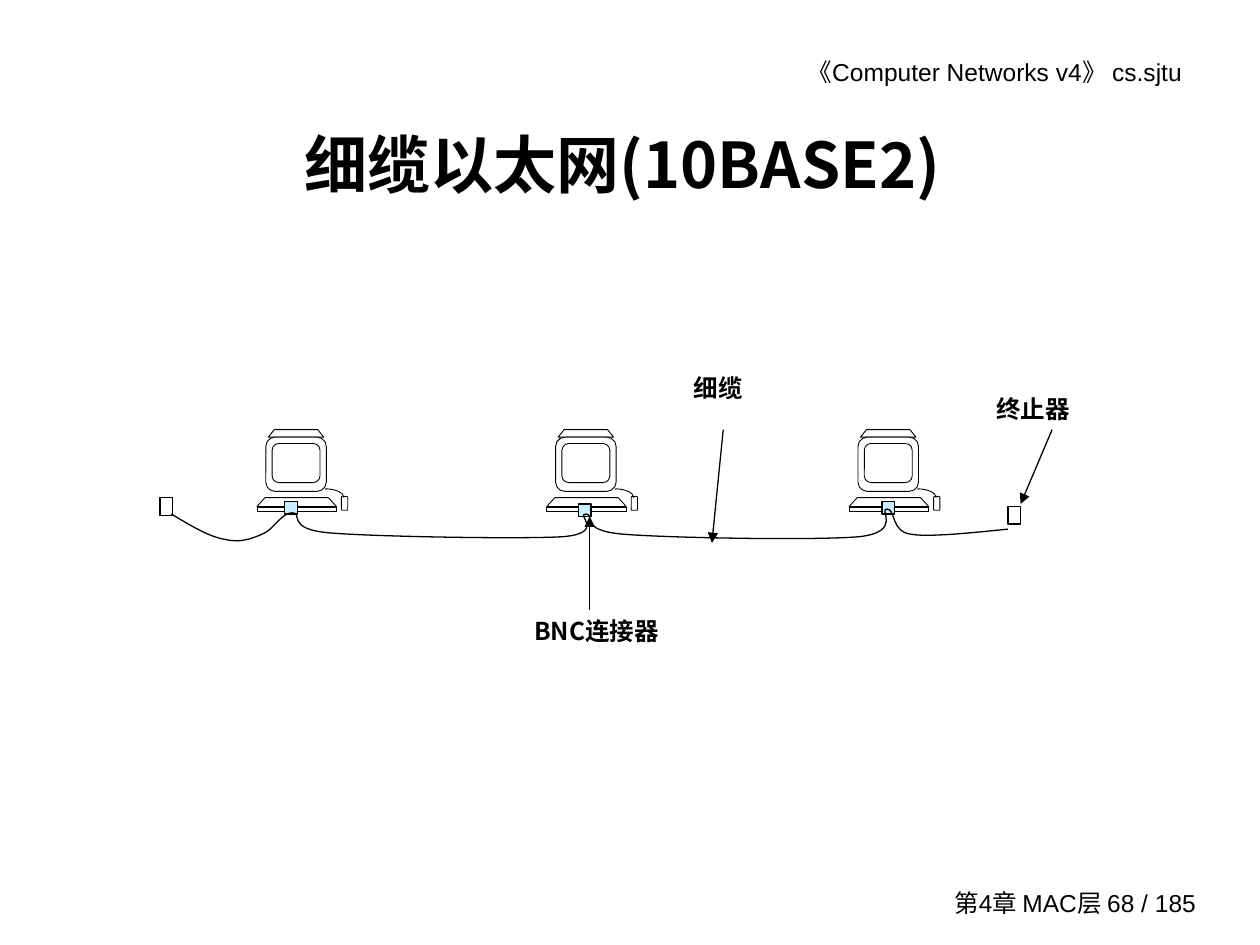
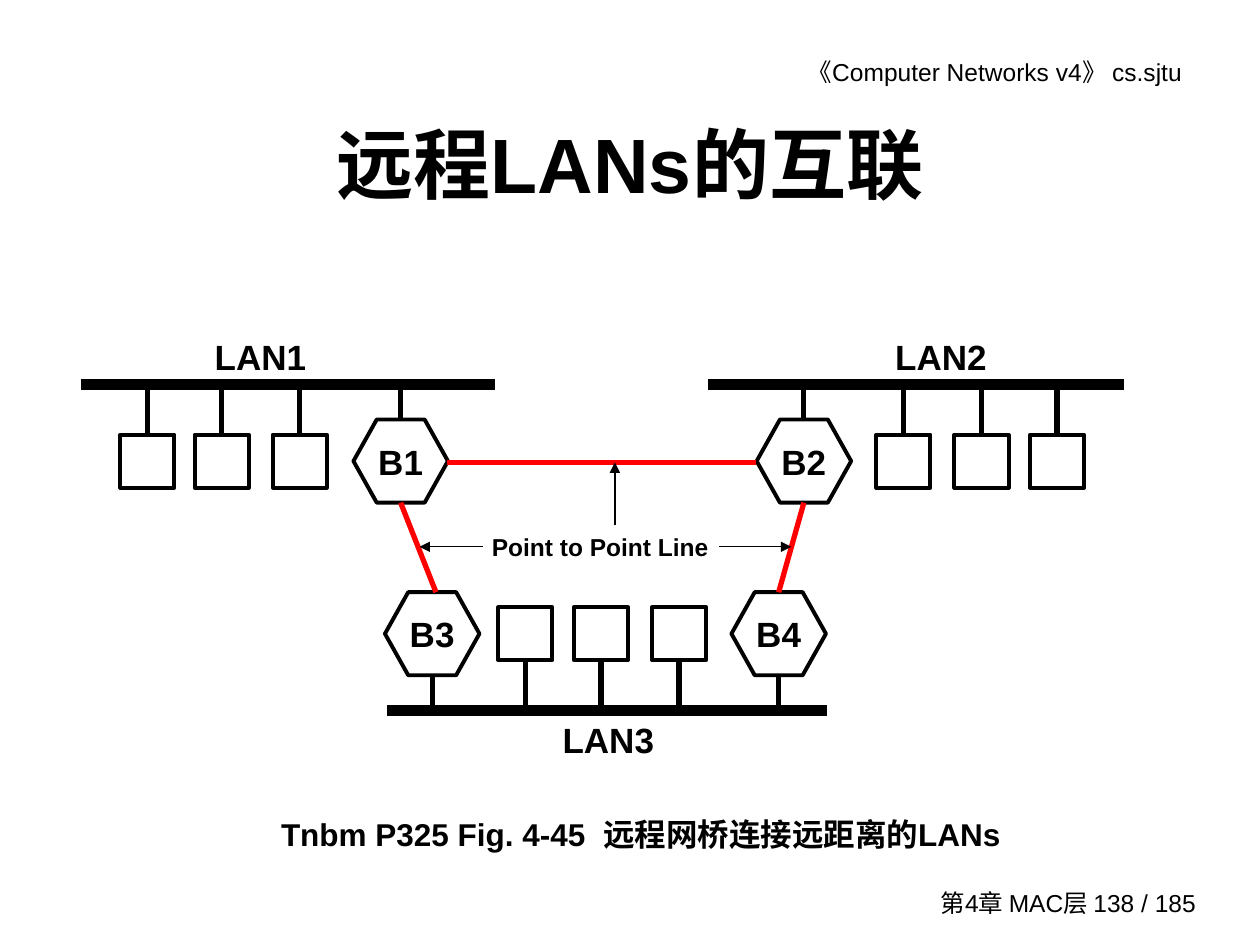
"""Build two lecture slides: thin-cable Ethernet and the bridging of remote LANs."""
from lxml.etree import SubElement
from pptx import Presentation
from pptx.dml.color import RGBColor
from pptx.enum.shapes import MSO_CONNECTOR, MSO_SHAPE
from pptx.enum.text import MSO_ANCHOR, MSO_AUTO_SIZE, PP_ALIGN
from pptx.oxml.ns import qn
from pptx.util import Inches, Pt

BLACK, WHITE, RED, PALE_BLUE = "000000", "FFFFFF", "FF0000", "CCECFF"
CJK_FONT = "Noto Sans CJK SC"
colour = RGBColor.from_string


def write(shape, text, size, align=PP_ALIGN.LEFT, bold=True, name="Arial",
          anchor=MSO_ANCHOR.TOP, wrap=True):
    frame = shape.text_frame
    frame.auto_size = MSO_AUTO_SIZE.NONE
    frame.word_wrap = wrap
    frame.vertical_anchor = anchor
    paragraph = frame.paragraphs[0]
    paragraph.text = text
    paragraph.alignment = align
    font = paragraph.font
    font.size, font.bold, font.name = Pt(size), bold, name
    font.color.rgb = colour(BLACK)
    SubElement(font._element, qn("a:ea"), typeface=CJK_FONT)
    return frame


def outline(shape, width, line=BLACK, fill=None, arrow=False):
    if fill:
        shape.fill.solid()
        shape.fill.fore_color.rgb = colour(fill)
    elif hasattr(shape, "fill"):
        shape.fill.background()
    shape.line.width = Pt(width)
    shape.line.color.rgb = colour(line)
    if arrow:
        SubElement(shape.line._get_or_add_ln(), qn("a:tailEnd"), type="triangle")
    SubElement(shape._element.spPr, qn("a:effectLst"))


presentation = Presentation()
presentation.slide_width, presentation.slide_height = Inches(10), Inches(7.5)

slides = []
for title_text, title_size, title_font, title_right, page in [
    ("细缆以太网(10BASE2)", 36, CJK_FONT, 0.14, 68),
    ("远程LANs的互联", 44, "Arial", 0.02, 138),
]:
    slide = presentation.slides.add_slide(presentation.slide_layouts[5])
    slides.append(slide)
    header = slide.shapes.add_textbox(Inches(5.36), Inches(0.4), Inches(4.23), Inches(0.34))
    frame = write(header, "《Computer Networks v4》 cs.sjtu", 14, PP_ALIGN.RIGHT, bold=False)
    frame.margin_right = Inches(0.21)
    footer = slide.shapes.add_textbox(Inches(7.3), Inches(7), Inches(2.29), Inches(0.33))
    write(footer, f"第4章 MAC层 {page} / 185", 14, PP_ALIGN.RIGHT, bold=False,
          anchor=MSO_ANCHOR.MIDDLE)
    title = slide.shapes.title
    title.left, title.top = Inches(0.75), Inches(0.67)
    title.width, title.height = Inches(8.5), Inches(1.25)
    frame = write(title, title_text, title_size, PP_ALIGN.CENTER, name=title_font,
                  anchor=MSO_ANCHOR.MIDDLE)
    frame.margin_left, frame.margin_right = Inches(0.02), Inches(title_right)
    frame.margin_top = frame.margin_bottom = Inches(0.01)

ethernet, bridging = slides

computer_parts = [
    (MSO_SHAPE.ROUNDED_RECTANGLE, 0.67, 3.94, 0.05, 0.11, 0.17),
    (MSO_SHAPE.TRAPEZOID, 0, 3.95, 0.63, 0.07, 0.9),
    (MSO_SHAPE.RECTANGLE, 0, 4.03, 0.63, 0.03, None),
    (MSO_SHAPE.TRAPEZOID, 0.09, 3.41, 0.44, 0.06, 0.8),
    (MSO_SHAPE.ROUNDED_RECTANGLE, 0.07, 3.47, 0.48, 0.43, 0.17),
    (MSO_SHAPE.ROUNDED_RECTANGLE, 0.12, 3.52, 0.38, 0.31, 0.17),
]
curves = []
for computer_left in (2.04, 4.34, 6.74):
    computer = ethernet.shapes.add_group_shape()
    for kind, left, top, width, height, adjustment in computer_parts:
        part = computer.shapes.add_shape(kind, Inches(computer_left + left), Inches(top),
                                         Inches(width), Inches(height))
        if adjustment:
            part.adjustments[0] = adjustment
        outline(part, 0.5, fill=WHITE)
    mouse_cord = [(computer_left + x, y)
                  for x, y in [(0.54, 3.88), (0.62, 3.88), (0.69, 3.91), (0.69, 3.95)]]
    curves.append((computer.shapes, mouse_cord, 0.5))

for left, top, height, fill in [
    (2.26, 3.98, 0.1, PALE_BLUE), (7, 3.98, 0.1, PALE_BLUE), (4.59, 4, 0.1, PALE_BLUE),
    (1.27, 3.95, 0.14, None), (8, 4.02, 0.14, None),
]:
    plug = ethernet.shapes.add_shape(MSO_SHAPE.RECTANGLE, Inches(left), Inches(top),
                                     Inches(0.1), Inches(height))
    outline(plug, 0.75, fill=fill)

thin_cable = [
    (1.36, 4.08),
    (1.51, 4.17), (1.66, 4.26), (1.78, 4.28),
    (1.9, 4.31), (1.99, 4.28), (2.08, 4.24),
    (2.17, 4.21), (2.23, 4.07), (2.32, 4.07),
    (2.41, 4.07), (2.26, 4.2), (2.62, 4.23),
    (2.98, 4.26), (4.13, 4.28), (4.47, 4.26),
    (4.81, 4.23), (4.57, 4.08), (4.65, 4.08),
    (4.73, 4.08), (4.58, 4.21), (4.95, 4.24),
    (5.31, 4.27), (6.48, 4.29), (6.82, 4.26),
    (7.17, 4.22), (6.97, 4.04), (7.04, 4.04),
    (7.11, 4.04), (7.07, 4.22), (7.23, 4.24),
    (7.39, 4.27), (7.88, 4.21), (8, 4.2),
]
curves.append((ethernet.shapes, thin_cable, 0.75))

for shapes, points, width in curves:
    corners = [(Inches(x), Inches(y)) for x, y in points]
    builder = shapes.build_freeform(*corners[0])
    builder.add_line_segments(corners[1:], close=False)
    curve = builder.convert_to_shape()
    outline(curve, width)
    outline_path = curve._element.find(".//" + qn("a:path"))
    segments = outline_path.findall(qn("a:lnTo"))
    for start in range(0, len(segments), 3):
        bezier = SubElement(outline_path, qn("a:cubicBezTo"))
        for segment in segments[start:start + 3]:
            bezier.append(segment[0])
            outline_path.remove(segment)

lines = [
    (ethernet, (8.35, 3.41), (8.1, 4), 0.75, BLACK, True),
    (ethernet, (5.74, 3.41), (5.65, 4.31), 0.75, BLACK, True),
    (ethernet, (4.68, 4.84), (4.68, 4.1), 0.75, BLACK, True),
]
labels = [
    (ethernet, "终止器", 7.81, 3.08, 0.86, 0.34, 14, PP_ALIGN.LEFT, "Arial"),
    (ethernet, "细缆", 5.41, 2.91, 1.33, 0.34, 14, PP_ALIGN.LEFT, "Arial"),
    (ethernet, "BNC连接器", 4.14, 4.84, 1.27, 0.34, 14, PP_ALIGN.LEFT, CJK_FONT),
    (bridging, "Point to Point Line", 3.71, 4.17, 2.11, 0.34, 14, PP_ALIGN.CENTER, "Arial"),
    (bridging, "Tnbm P325 Fig. 4-45  远程网桥连接远距离的LANs", 2.07, 6.42, 6.03, 0.4, 18,
     PP_ALIGN.CENTER, "Arial"),
]

station_width, station_height = 0.43, 0.42
bridge_width, bridge_height = 0.75, 0.66
for lan, label_left, label_top, bus_left, bus_right, bus_y, hanging, stations, bridges in [
    ("LAN1", 1.53, 2.61, 0.64, 3.93, 3.05, True, (1.17, 1.76, 2.38), {"B1": 3.18}),
    ("LAN2", 6.93, 2.61, 5.62, 8.92, 3.05, True, (7.17, 7.79, 8.39), {"B2": 6.38}),
    ("LAN3", 4.29, 5.65, 3.07, 6.56, 5.64, False, (4.17, 4.77, 5.39), {"B3": 3.43, "B4": 6.18}),
]:
    labels.append((bridging, lan, label_left, label_top, 1, 0.44, 20, PP_ALIGN.RIGHT, "Arial"))
    lines.append((bridging, (bus_left, bus_y), (bus_right, bus_y), 6, BLACK, False))
    station_edge = bus_y + (0.4 if hanging else -0.4)
    station_top = station_edge if hanging else station_edge - station_height
    for center in stations:
        station = bridging.shapes.add_shape(
            MSO_SHAPE.RECTANGLE, Inches(center - station_width / 2), Inches(station_top),
            Inches(station_width), Inches(station_height))
        outline(station, 2.25)
        lines.append((bridging, (center, station_edge), (center, bus_y), 3, BLACK, False))
    bridge_edge = bus_y + (0.28 if hanging else -0.28)
    bridge_top = bridge_edge if hanging else bridge_edge - bridge_height
    for name, center in bridges.items():
        bridge = bridging.shapes.add_shape(
            MSO_SHAPE.HEXAGON, Inches(center - bridge_width / 2), Inches(bridge_top),
            Inches(bridge_width), Inches(bridge_height))
        bridge.adjustments[0] = 0.28
        outline(bridge, 2.25)
        write(bridge, name, 20, PP_ALIGN.CENTER, anchor=MSO_ANCHOR.MIDDLE, wrap=False)
        lines.append((bridging, (center, bridge_edge), (center, bus_y), 3, BLACK, False))

lines += [
    (bridging, (3.55, 3.67), (6, 3.67), 3, RED, False),
    (bridging, (3.18, 3.99), (3.46, 4.7), 3, RED, False),
    (bridging, (6.38, 3.99), (6.18, 4.7), 3, RED, False),
    (bridging, (4.88, 4.17), (4.88, 3.67), 0.75, BLACK, True),
    (bridging, (3.83, 4.34), (3.33, 4.34), 0.75, BLACK, True),
    (bridging, (5.71, 4.34), (6.28, 4.34), 0.75, BLACK, True),
]
for slide, start, end, width, line_colour, arrow in lines:
    connector = slide.shapes.add_connector(
        MSO_CONNECTOR.STRAIGHT, *[Inches(value) for value in start + end])
    outline(connector, width, line_colour, arrow=arrow)

for slide, text, left, top, width, height, size, align, font_name in labels:
    label = slide.shapes.add_textbox(Inches(left), Inches(top), Inches(width), Inches(height))
    write(label, text, size, align, name=font_name)

presentation.save("out.pptx")
